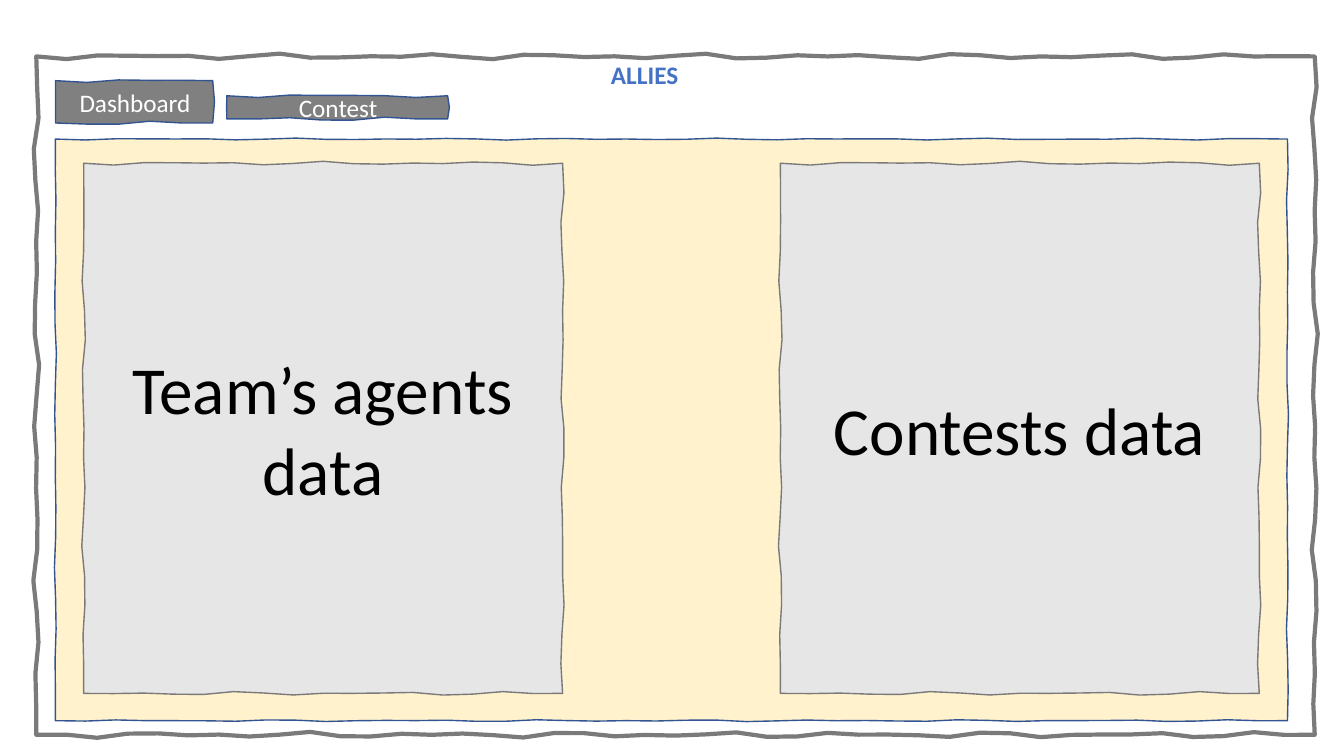
from math import pi, sin

from pptx import Presentation
from pptx.dml.color import RGBColor
from pptx.enum.text import MSO_ANCHOR as Anchor, PP_ALIGN as Align
from pptx.util import Inches, Pt

WHITE = RGBColor(0xFF, 0xFF, 0xFF)
BLACK = RGBColor(0, 0, 0)
BLUE = RGBColor(0x44, 0x72, 0xC4)
NAVY = RGBColor(0x32, 0x54, 0x91)
GREY = RGBColor(0x80, 0x80, 0x80)
OUTLINE = RGBColor(0x7A, 0x7A, 0x7A)
PALE = RGBColor(0xE7, 0xE6, 0xE6)
CREAM = RGBColor(0xFF, 0xF2, 0xCC)

# Content: boxes are left, top, width, height in inches
HEADING = "ALLIES"
HEADING_BOX = (5.96, 0.54, 0.93, 0.4)
FRAME = (0.36, 0.56, 12.68, 6.73)
BODY = (0.55, 1.38, 12.22, 5.77)
TABS = [
    ("Dashboard", (0.55, 0.8, 1.56, 0.42)),
    ("Contest", (2.25, 0.95, 2.19, 0.23)),
]
PANELS = ["Team’s agents data", "Contests data"]
PANEL_WIDTH, PANEL_HEIGHT = 4.75, 5.26
PANEL_INSET, PANEL_DROP = 0.28, 0.24

STEP = 0.3       # spacing of points along a hand-drawn edge

prs = Presentation()
prs.slide_width, prs.slide_height = Inches(13.33), Inches(7.5)
slide = prs.slides.add_slide(prs.slide_layouts[5])


def wobbly_edge(start, end, wobble, phase):
    """Points of one side, pushed off the straight line by mixed waves."""
    (x0, y0), (x1, y1) = start, end
    length = abs(x1 - x0) + abs(y1 - y0)
    count = max(2, round(length / STEP))
    for i in range(1, count + 1):
        share = i / count
        along = share * length
        wave = sin(2 * pi * along / 1.37 + phase) + sin(2 * pi * along / 0.85)
        push = wobble * wave / 2 if i < count else 0
        across = x0 == x1
        yield (Inches(x0 + (x1 - x0) * share + push * across),
               Inches(y0 + (y1 - y0) * share + push * (not across)))


def sketch_box(box, wobble, line, width, fill=None):
    """A rectangle that looks drawn by hand."""
    left, top, w, h = box
    corners = [(left, top), (left + w, top), (left + w, top + h), (left, top + h)]
    points = []
    for side, start in enumerate(corners):
        points += wobbly_edge(start, corners[(side + 1) % 4], wobble, side * 1.3)
    builder = slide.shapes.build_freeform(Inches(left), Inches(top), scale=1.0)
    builder.add_line_segments(points, close=True)
    shape = builder.convert_to_shape()
    shape.shadow.inherit = False
    shape.line.color.rgb = line
    shape.line.width = Pt(width)
    if fill is None:
        shape.fill.background()
    else:
        shape.fill.solid()
        shape.fill.fore_color.rgb = fill
    return shape


def write(shape, text, size, color, align=Align.CENTER, anchor=Anchor.MIDDLE,
          wrap=True, bold=False):
    frame = shape.text_frame
    frame.word_wrap = wrap
    frame.vertical_anchor = anchor
    paragraph = frame.paragraphs[0]
    paragraph.alignment = align
    run = paragraph.add_run()
    run.text = text
    run.font.name = "Calibri"
    run.font.size = Pt(size)
    run.font.bold = bold
    run.font.color.rgb = color


# Heading
heading = slide.shapes.title
heading.left, heading.top, heading.width, heading.height = map(Inches, HEADING_BOX)
write(heading, HEADING, 18, BLUE, Align.LEFT, Anchor.TOP, wrap=False, bold=True)

# Window frame and tabs
sketch_box(FRAME, 0.03, OUTLINE, 3)
for label, box in TABS:
    write(sketch_box(box, 0.02, NAVY, 1, GREY), label, 18, WHITE)

# Body with one panel at each side
sketch_box(BODY, 0.01, NAVY, 1, CREAM)
body_left, body_top, body_width, _ = BODY
panel_lefts = (body_left + PANEL_INSET,
               body_left + body_width - PANEL_INSET - PANEL_WIDTH)
for label, left in zip(PANELS, panel_lefts):
    box = (left, body_top + PANEL_DROP, PANEL_WIDTH, PANEL_HEIGHT)
    write(sketch_box(box, 0.02, OUTLINE, 1, PALE), label, 48, BLACK)

prs.save("out.pptx")
